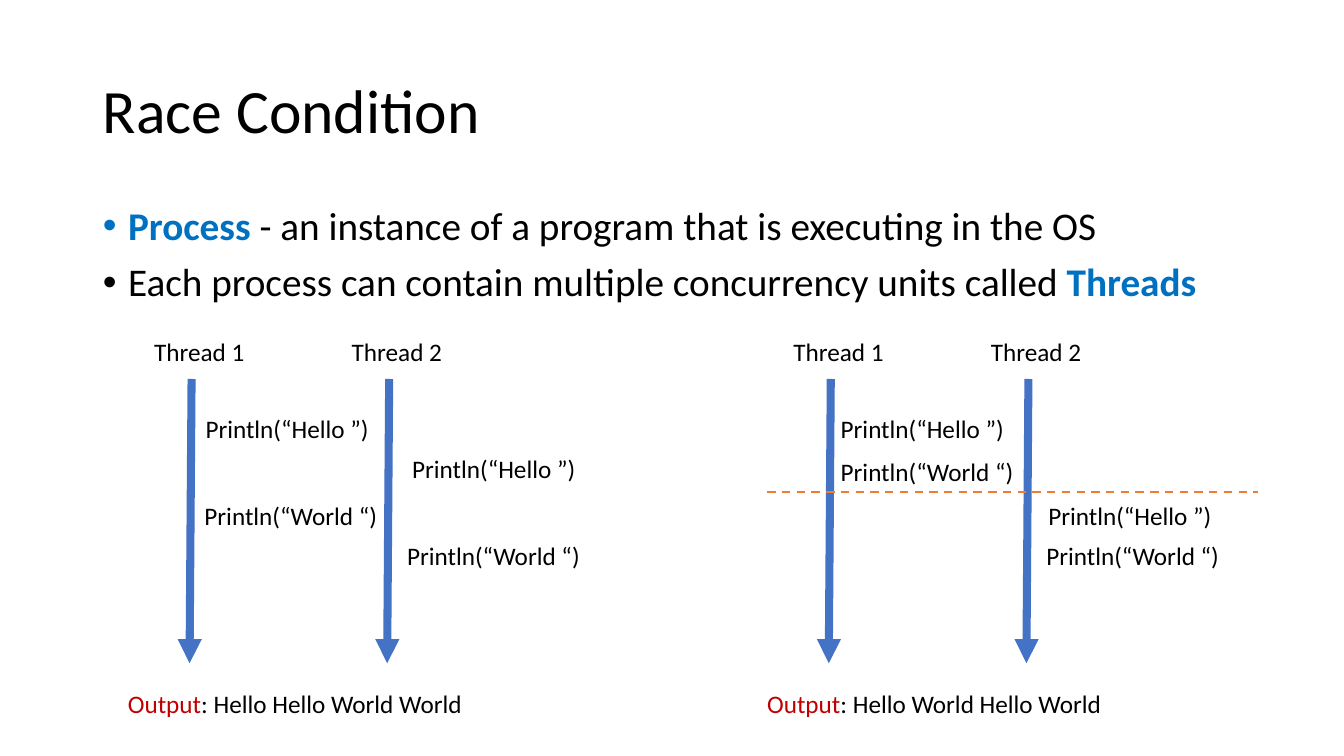
from dataclasses import dataclass

from lxml import etree
from pptx import Presentation
from pptx import util as u
from pptx.dml.color import RGBColor
from pptx.enum import dml, shapes, text
from pptx.oxml import ns

FONT = "Calibri"
COLORS = {"black": "000000", "term": "0070C0", "output": "C00000",
          "arrow": "4472C4", "divider": "ED7D31"}
HELLO, WORLD = "Println(“Hello ”)", "Println(“World “)"
WIDTHS = {HELLO: 1.84, WORLD: 1.93}
THREAD_GAP = 1.96


@dataclass
class Run:
    """A stretch of text in one colour."""
    text: str
    color: str = "black"
    bold: bool = False


@dataclass
class Call:
    """A print statement and its place."""
    text: str
    left: float
    top: float


@dataclass
class Schedule:
    """One interleaving of two threads and what it prints."""
    left: float
    calls: list[Call]
    output: str


BULLETS = [
    [Run("Process ", "term", True),
     Run("- an instance of a program that is executing in the OS")],
    [Run("Each process can contain multiple concurrency units called "),
     Run("Threads", "term", True)],
]
SCHEDULES = [
    Schedule(1.17, [Call(HELLO, 1.94, 4.05), Call(HELLO, 3.99, 4.45),
                    Call(WORLD, 1.93, 4.91), Call(WORLD, 3.94, 5.31)],
             "Hello Hello World World"),
    Schedule(7.51, [Call(HELLO, 8.24, 4.05), Call(WORLD, 8.24, 4.48),
                    Call(HELLO, 10.3, 4.91), Call(WORLD, 10.28, 5.31)],
             "Hello World Hello World"),
]


def rgb(name: str) -> RGBColor:
    """Look up a named colour."""
    return RGBColor.from_string(COLORS[name])


def add_runs(p, runs: list[Run], size: float) -> None:
    """Write formatted runs into a paragraph."""
    for run in runs:
        r = p.add_run()
        r.text = run.text
        r.font.name, r.font.size, r.font.bold = FONT, u.Pt(size), run.bold
        r.font.color.rgb = rgb(run.color)


def place(sp, left: float, top: float, width: float, height: float) -> None:
    """Move and size a shape."""
    sp.left, sp.top = u.Inches(left), u.Inches(top)
    sp.width, sp.height = u.Inches(width), u.Inches(height)


def add_label(s, runs: list[Run], left: float, top: float, width: float,
              wrap: bool = False) -> None:
    """Add a one-line text box."""
    tf = s.shapes.add_textbox(u.Inches(left), u.Inches(top),
                              u.Inches(width), u.Inches(0.4)).text_frame
    tf.word_wrap = wrap
    tf.auto_size = text.MSO_AUTO_SIZE.SHAPE_TO_FIT_TEXT
    add_runs(tf.paragraphs[0], runs, 18)


def add_line(s, start: tuple[float, float], end: tuple[float, float],
             color: str, width: float):
    """Add a straight line without a shadow."""
    line = s.shapes.add_connector(shapes.MSO_CONNECTOR.STRAIGHT,
                                  *map(u.Inches, start + end))
    line.line.color.rgb, line.line.width = rgb(color), u.Pt(width)
    etree.SubElement(line._element.spPr, ns.qn("a:effectLst"))
    return line


def add_thread(s, number: int, left: float) -> None:
    """Add a thread's label and its downward arrow."""
    arrow = add_line(s, (left + 0.47, 3.76), (left + 0.45, 6.58), "arrow", 5.75)
    ln = arrow.line._get_or_add_ln()
    etree.SubElement(ln, ns.qn("a:tailEnd"), type="triangle")
    add_label(s, [Run(f"Thread {number}")], left, 3.29, 1.67, wrap=True)


def add_schedule(s, schedule: Schedule) -> None:
    """Draw both threads, their calls and the output line."""
    for i in range(2):
        add_thread(s, i + 1, schedule.left + 0.26 + i * THREAD_GAP)
    for call in schedule.calls:
        add_label(s, [Run(call.text)], call.left, call.top, WIDTHS[call.text])
    add_label(s, [Run("Output", "output"), Run(f": {schedule.output}")],
              schedule.left, 6.78, 3.55)


def fill_title(sp) -> None:
    """Place and write the slide title."""
    place(sp, 0.92, 0.4, 11.5, 1.45)
    tf = sp.text_frame
    tf.auto_size = text.MSO_AUTO_SIZE.NONE
    tf.vertical_anchor = text.MSO_ANCHOR.MIDDLE
    p = tf.paragraphs[0]
    p.alignment, p.line_spacing = text.PP_ALIGN.LEFT, 0.9
    add_runs(p, [Run("Race Condition")], 44)


def fill_body(sp) -> None:
    """Place and write the bulleted definitions."""
    place(sp, 0.92, 2, 11.5, 4.76)
    tf = sp.text_frame
    tf.auto_size = text.MSO_AUTO_SIZE.NONE
    for i, runs in enumerate(BULLETS):
        p = tf.add_paragraph() if i else tf.paragraphs[0]
        p.line_spacing, p.space_before = 0.9, u.Pt(10)
        pPr = p._p.get_or_add_pPr()
        pPr.set("marL", str(u.Inches(0.25)))
        pPr.set("indent", str(-u.Inches(0.25)))
        etree.SubElement(pPr, ns.qn("a:buFont"), typeface="Arial")
        etree.SubElement(pPr, ns.qn("a:buChar"), char="•")
        add_runs(p, runs, 28)


def main() -> None:
    """Build and save the slide."""
    prs = Presentation()
    prs.slide_width, prs.slide_height = u.Inches(13.33), u.Inches(7.5)
    s = prs.slides.add_slide(prs.slide_layouts[1])
    fill_title(s.shapes.title)
    fill_body(s.placeholders[1])
    for schedule in SCHEDULES:
        add_schedule(s, schedule)
    divider = add_line(s, (7.61, 4.88), (12.48, 4.88), "divider", 1.5)
    divider.line.dash_style = dml.MSO_LINE.DASH
    prs.save("out.pptx")


main()
